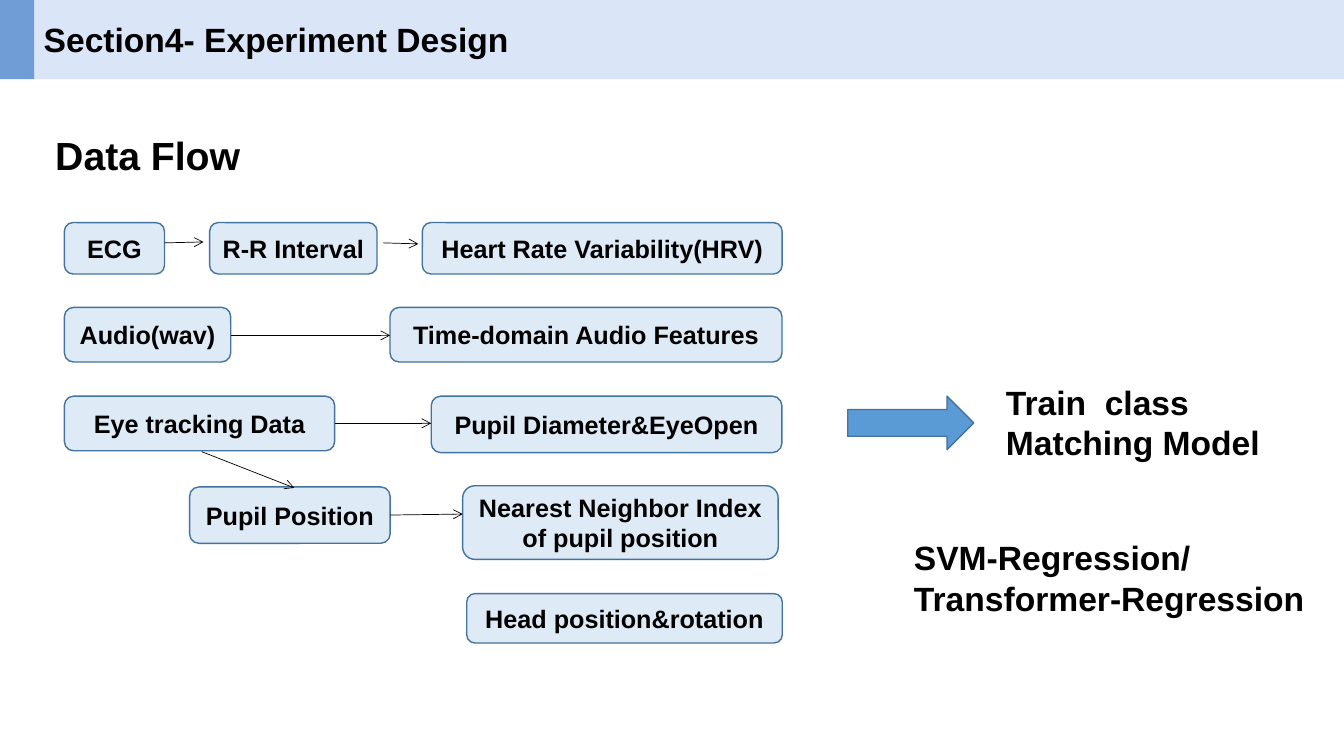
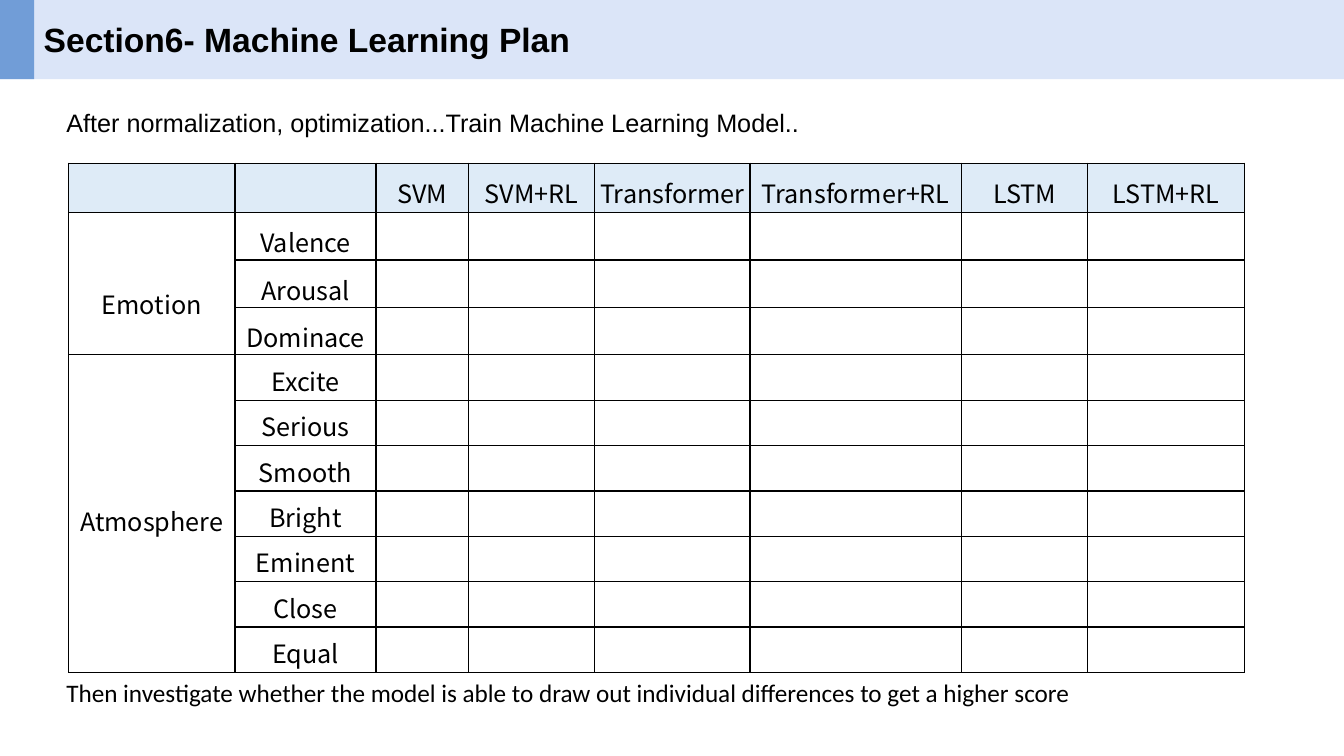
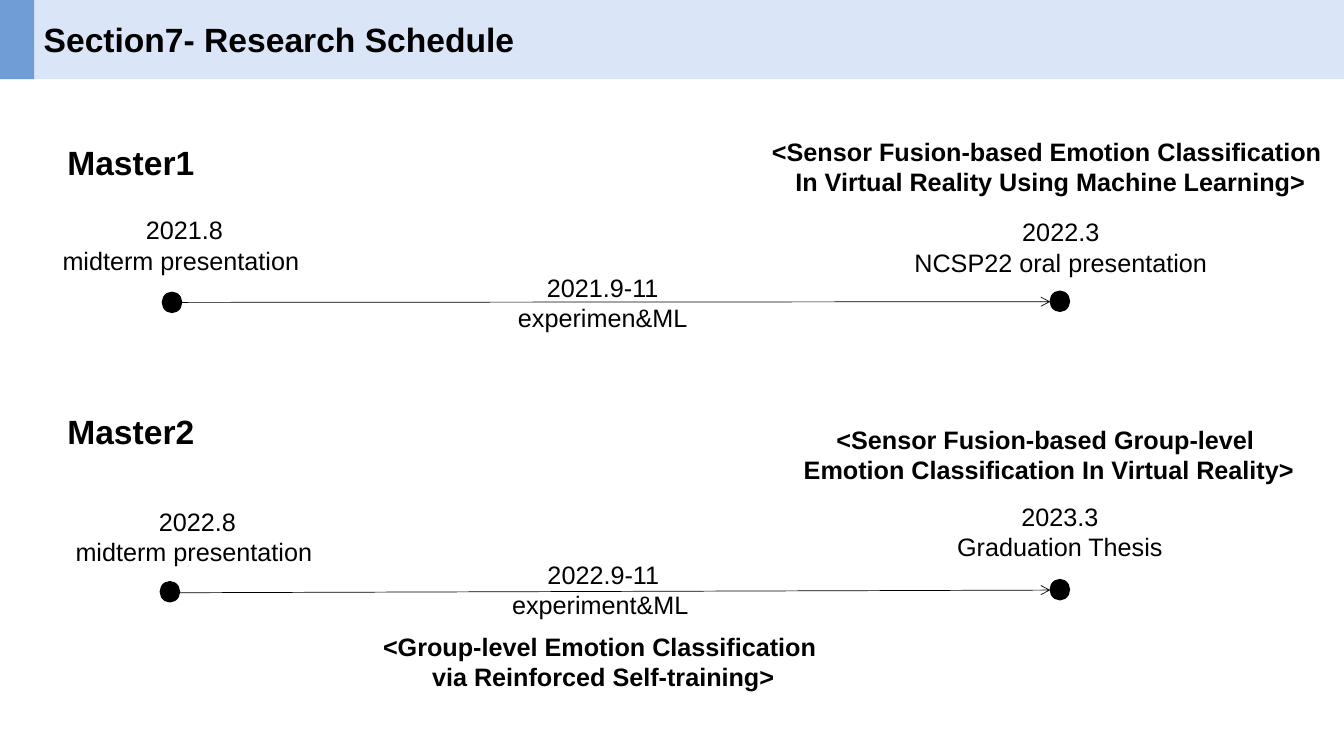
from lxml.etree import SubElement
from pptx import Presentation
from pptx.dml.color import RGBColor
from pptx.enum.shapes import MSO_CONNECTOR as LINK, MSO_SHAPE as FORM
from pptx.enum.text import MSO_ANCHOR as ANCHOR, MSO_AUTO_SIZE as FIT, PP_ALIGN as ALIGN
from pptx.oxml.ns import qn
from pptx.util import Pt

BLACK = RGBColor(0x00, 0x00, 0x00)
BAND = RGBColor(0xDB, 0xE5, 0xF8)
TAB = RGBColor(0x71, 0x9D, 0xD7)
PALE = RGBColor(0xDE, 0xEB, 0xF7)
BLUE = RGBColor(0x5B, 0x9B, 0xD5)
EDGE = RGBColor(0x43, 0x73, 0x9E)


class Deck:
    """Holds the shared style and the current slide."""

    def __init__(self):
        self.show = Presentation()
        self.show.slide_width, self.show.slide_height = Pt(960), Pt(540)
        self.plan = self.show.slide_layouts[5]
        self.slide = None

    def page(self, title):
        """Start a slide and set its title."""
        self.slide = self.show.slides.add_slide(self.plan)
        if len(self.show.slides) == 1:
            self.bands()
        head = self.slide.shapes.title
        head.left, head.top, head.width, head.height = Pt(24), Pt(10), Pt(900), Pt(36)
        head.text_frame.auto_size = FIT.NONE
        head.text_frame.vertical_anchor = ANCHOR.MIDDLE
        self.words(head.text_frame, [title], 24, True, ALIGN.LEFT)

    def bands(self):
        """Place the top bands in the layout that all slides use."""
        tree = self.plan.shapes.element
        for step, (width, tint) in enumerate([(960, BAND), (24.5, TAB)]):
            band = self.shape(FORM.RECTANGLE, 0, 0, width, 56.5, tint).element
            band.nvSpPr.cNvPr.set("id", str(20 + step))
            tree.insert(2 + step, band)

    def words(self, frame, lines, size, bold=False, align=ALIGN.LEFT, font="Arial", gap=None):
        """Fill a frame, one paragraph a line; a newline inside one is a break."""
        for row, line in enumerate(lines):
            para = frame.add_paragraph() if row else frame.paragraphs[0]
            para.alignment = align
            if gap:
                para.line_spacing = gap
            for part, piece in enumerate(line.split("\n")):
                if part:
                    para.add_line_break()
                run = para.add_run()
                run.text = piece
                run.font.name, run.font.size, run.font.bold = font, Pt(size), bold
                run.font.color.rgb = BLACK

    def shape(self, form, x, y, w, h, fill, edge=None):
        """Draw a flat preset shape."""
        item = self.slide.shapes.add_shape(form, Pt(x), Pt(y), Pt(w), Pt(h))
        item.shadow.inherit = False
        item.fill.solid()
        item.fill.fore_color.rgb = fill
        if edge is None:
            item.line.fill.background()
        else:
            item.line.color.rgb = edge
            item.line.width = Pt(1)
        return item

    def box(self, x, y, w, h, *lines):
        """Draw a rounded box with a centred label."""
        item = self.shape(FORM.ROUNDED_RECTANGLE, x, y, w, h, PALE, EDGE)
        item.text_frame.vertical_anchor = ANCHOR.MIDDLE
        self.words(item.text_frame, lines, 18, True, ALIGN.CENTER)

    def text(self, x, y, w, h, *lines, size=18, **look):
        """Add a text box."""
        frame = self.slide.shapes.add_textbox(Pt(x), Pt(y), Pt(w), Pt(h)).text_frame
        frame.word_wrap = True
        self.words(frame, lines, size, **look)

    def arrow(self, *ends):
        """Draw a thin arrow from one point to another."""
        item = self.slide.shapes.add_connector(LINK.STRAIGHT, *map(Pt, ends))
        item.line.color.rgb = BLACK
        item.line.width = Pt(0.5)
        props = item.element.spPr
        SubElement(props.find(qn("a:ln")), qn("a:tailEnd"), type="arrow")
        SubElement(props, qn("a:effectLst"))

    def dot(self, x, y):
        """Draw a timeline dot."""
        self.shape(FORM.OVAL, x, y, 13.7, 14.4, BLACK, BLACK)

    def grid(self, x, y, cols, rows):
        """Add a plain ruled table and return it."""
        item = self.slide.shapes.add_table(
            len(rows), len(cols), Pt(x), Pt(y), Pt(sum(cols)), Pt(sum(rows)))
        table = item.table
        table.first_row = table.horz_banding = False
        for col, width in zip(table.columns, cols):
            col.width = Pt(width)
        for row, height in zip(table.rows, rows):
            row.height = Pt(height)
        for cell in table.iter_cells():
            self.rule(cell)
            cell.fill.background()
            cell.margin_left = cell.margin_right = cell.margin_top = cell.margin_bottom = 0
        return table

    def rule(self, cell):
        """Put a black line on each side of a cell."""
        props = cell._tc.get_or_add_tcPr()
        for side in ("lnL", "lnR", "lnT", "lnB"):
            line = SubElement(props, qn("a:" + side), w=str(Pt(1)))
            fill = SubElement(line, qn("a:solidFill"))
            SubElement(fill, qn("a:srgbClr"), val=str(BLACK))

    def label(self, cell, name, gap):
        """Set a centred table label."""
        self.words(cell.text_frame, [name], 18, align=ALIGN.CENTER,
                   font="Noto Sans CJK SC", gap=gap)


def flow(deck):
    """Build the data flow slide."""
    deck.page("Section4- Experiment Design")
    for box in [
        (46, 159, 71.5, 36.7, "ECG"),
        (149.8, 159, 119.5, 36.7, "R-R Interval"),
        (301.7, 159, 257, 36.7, "Heart Rate Variability(HRV)"),
        (46, 219.6, 118.8, 39, "Audio(wav)"),
        (278.6, 219.6, 280, 39, "Time-domain Audio Features"),
        (46, 283, 193, 39, "Eye tracking Data"),
        (308, 283, 250.5, 40.3, "Pupil Diameter&EyeOpen"),
        (135.4, 347.8, 143.3, 40.3, "Pupil Position"),
        (330.5, 347, 225.4, 52.6, "Nearest Neighbor Index", "of pupil position"),
        (333.4, 424, 225.4, 35.3, "Head position&rotation"),
    ]:
        deck.box(*box)
    for ends in [
        (117.4, 173.5, 145.4, 172.8),
        (273.6, 173.5, 298.8, 174.2),
        (164.9, 239.6, 278.6, 239.6),
        (239, 302.4, 308, 302.4),
        (144, 322.6, 210.2, 348.5),
        (278.6, 367.9, 330.5, 367.2),
    ]:
        deck.arrow(*ends)
    deck.shape(FORM.RIGHT_ARROW, 605.5, 283, 90, 38.2, BLUE, EDGE)
    deck.text(711.4, 269.3, 215, 65.5, "Train  class", "Matching Model", size=24, bold=True)
    deck.text(645.8, 380.2, 305, 65.5, "SVM-Regression/", "Transformer-Regression",
              size=24, bold=True)
    deck.text(32.4, 90, 160, 41, "Data Flow", size=28, bold=True)


def learn(deck):
    """Build the machine learning slide."""
    deck.page("Section6- Machine Learning Plan")
    cols = [118.8, 100.8, 66.2, 90, 110.9, 151.2, 90, 112.3]
    table = deck.grid(49, 116.6, cols, [35.3] + [32.4] * 10)
    heads = ["SVM", "SVM+RL", "Transformer", "Transformer+RL", "LSTM", "LSTM+RL"]
    for col in range(len(cols)):
        cell = table.cell(0, col)
        cell.fill.solid()
        cell.fill.fore_color.rgb = PALE
        if col > 1:
            deck.label(cell, heads[col - 2], 1.3)
    row = 1
    for name, lead, place, gap, items in [
        ("Emotion", 3.0, ANCHOR.TOP, 1.3, ["Valence", "Arousal", "Dominace"]),
        ("Atmosphere", 1.4, ANCHOR.MIDDLE, 1.2,
         ["Excite", "Serious", "Smooth", "Bright", "Eminent", "Close", "Equal"]),
    ]:
        group = table.cell(row, 0)
        group.merge(table.cell(row + len(items) - 1, 0))
        group.vertical_anchor = place
        deck.label(group, name, lead)
        for item in items:
            deck.label(table.cell(row, 1), item, gap)
            row += 1
    deck.text(40.3, 73.4, 600, 29,
              "After normalization, optimization...Train Machine Learning Model..")
    deck.text(40.3, 480.2, 900, 29,
              "Then investigate whether the model is able to draw out individual "
              "differences to get a higher score", font="Calibri")


def dates(deck):
    """Build the research schedule slide."""
    deck.page("Section7- Research Schedule")
    for name, top, left, start, end, dip in [
        ("Master1", 98, 116, 208.8, 208, 216),
        ("Master2", 290.2, 114.5, 415.5, 414, 423.4),
    ]:
        deck.text(41, top, 120, 36, name, size=24, bold=True)
        deck.dot(left, start)
        deck.dot(750.2, end)
        deck.arrow(128.2, dip, 750.2, end + 7.5)
    for x, y, w, bold, *lines in [
        (31.7, 149.8, 200, False, "2021.8", "midterm presentation "),
        (330.5, 190.8, 200, False, "2021.9-11", "experimen&ML"),
        (624.2, 151.2, 267, False, "2022.3", "NCSP22 oral presentation"),
        (41, 357.8, 200, False, "2022.8", "midterm presentation "),
        (355.7, 396, 150.5, False, "2022.9-11", "experiment&ML "),
        (675.4, 354.2, 163.4, False, "2023.3", "Graduation Thesis"),
        (540.2, 93.6, 420, True,
         "<Sensor Fusion-based Emotion Classification \n"
         "In Virtual Reality Using Machine Learning>"),
        (542.2, 299.5, 414, True, "<Sensor Fusion-based Group-level ",
         "Emotion Classification In Virtual Reality>"),
        (260.9, 447.1, 340, True,
         "<Group-level Emotion Classification \nvia Reinforced Self-training>"),
    ]:
        deck.text(x, y, w, 51, *lines, bold=bold, align=ALIGN.CENTER)


def main():
    """Build and save the slides."""
    deck = Deck()
    for build in (flow, learn, dates):
        build(deck)
    deck.show.save("out.pptx")


if __name__ == "__main__":
    main()
